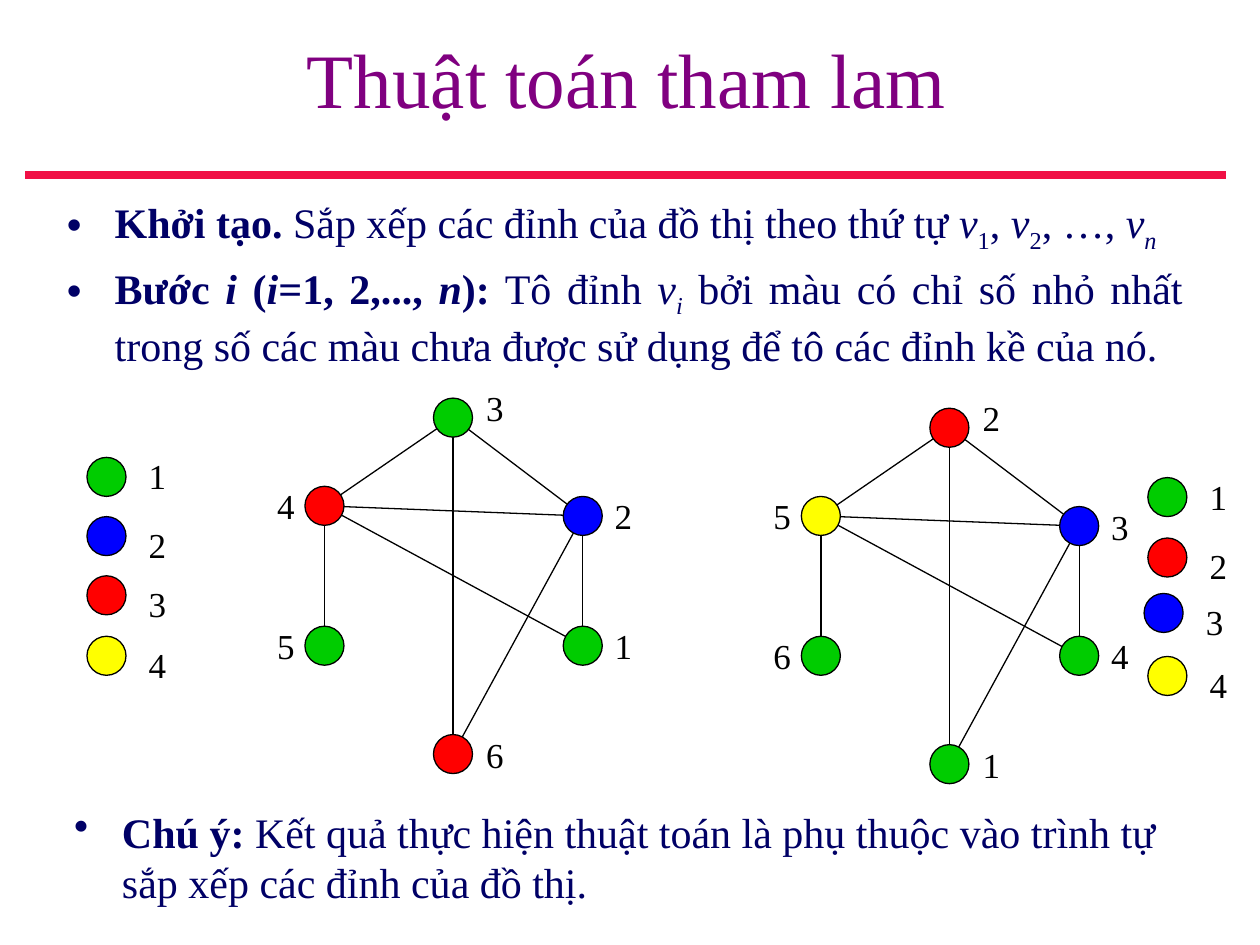
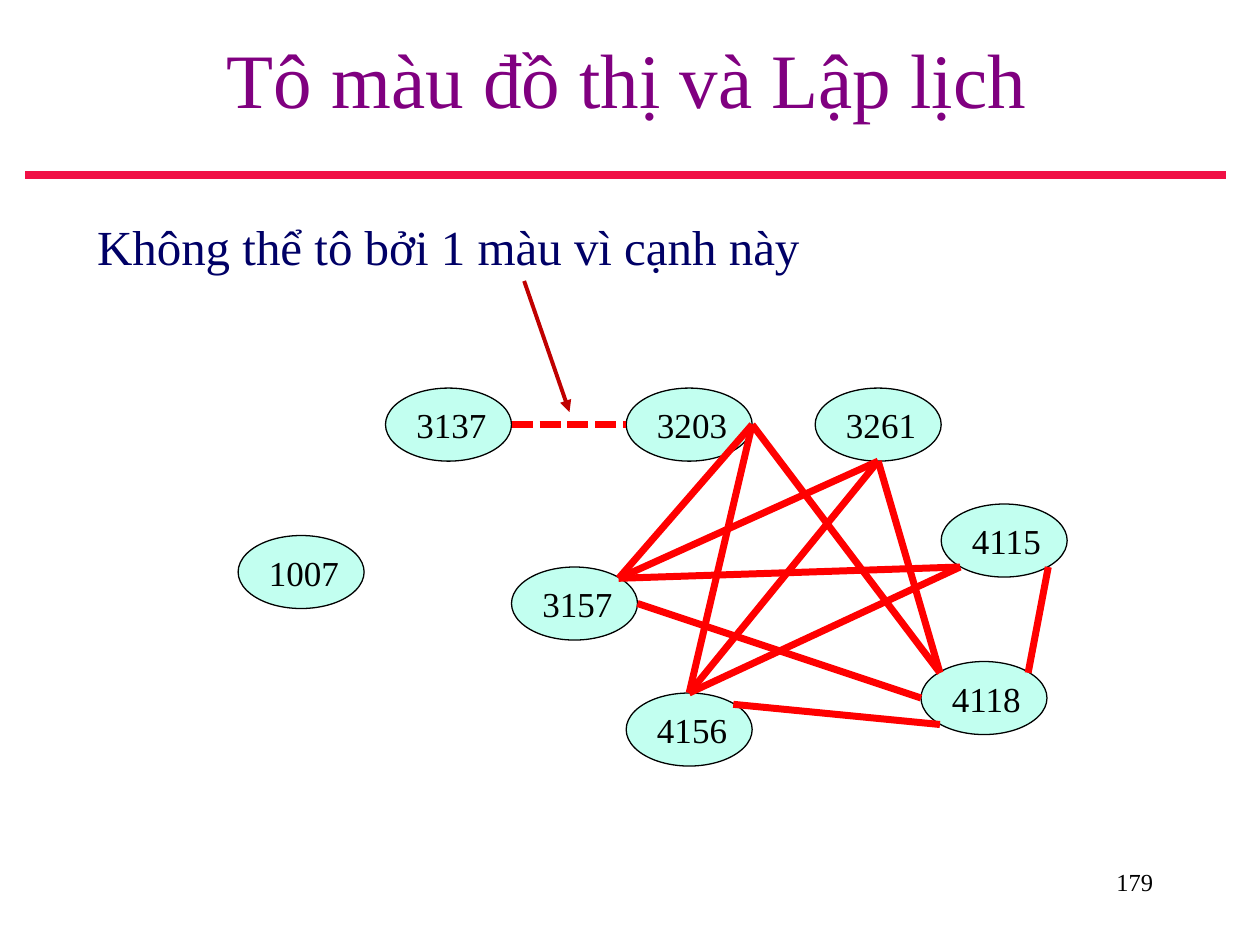
from lxml import etree
from pptx import Presentation
from pptx.dml.color import RGBColor
from pptx.enum.dml import MSO_LINE
from pptx.enum.shapes import MSO_CONNECTOR, MSO_SHAPE
from pptx.enum.text import MSO_ANCHOR, MSO_AUTO_SIZE, PP_ALIGN
from pptx.oxml.ns import qn
from pptx.util import Inches, Pt

STRAIGHT, OVAL = MSO_CONNECTOR.STRAIGHT, MSO_SHAPE.OVAL
LEFT, CENTER, RIGHT, JUSTIFY = PP_ALIGN.LEFT, PP_ALIGN.CENTER, PP_ALIGN.RIGHT, PP_ALIGN.JUSTIFY
MIDDLE, NO_FIT, DOTTED = MSO_ANCHOR.MIDDLE, MSO_AUTO_SIZE.NONE, MSO_LINE.SQUARE_DOT

FONT = "Times New Roman"
PURPLE, NAVY, BLACK, CRIMSON, DARK_RED = "800080", "000066", "000000", "F01045", "C00000"
GREEN, BLUE, RED, YELLOW, MINT = "00CC00", "0000FF", "FF0000", "FFFF00", "C2FFF0"


def paint(sp, line, width, fill=None):
    """Outline a shape or connector, fill it if asked, and drop its shadow."""
    sp.line.color.rgb = RGBColor.from_string(line)
    sp.line.width = Pt(width)
    if fill:
        sp.shadow.inherit = False
        sp.fill.solid()
        sp.fill.fore_color.rgb = RGBColor.from_string(fill)
    else:
        etree.SubElement(sp._element.spPr, qn("a:effectLst"))


def write(p, runs, size, color, align=LEFT, bullet=None):
    """Write (text, flags) runs; flags: b bold, i italic, s subscript."""
    p.alignment = align
    if bullet is not None:
        p.space_before = Pt(size * 0.2)
        pPr = p._p.get_or_add_pPr()
        pPr.set("marL", str(Inches(0.38)))
        pPr.set("indent", str(-Inches(0.38)))
        if bullet:
            etree.SubElement(pPr, qn("a:buChar")).set("char", bullet)
        else:
            etree.SubElement(pPr, qn("a:buNone"))
    for text, flags in runs:
        r = p.add_run()
        r.text = text
        fmt = {"name": FONT, "size": Pt(size), "bold": "b" in flags, "italic": "i" in flags}
        for key, value in fmt.items():
            setattr(r.font, key, value)
        r.font.color.rgb = RGBColor.from_string(color)
        if "s" in flags:
            r._r.get_or_add_rPr().set("baseline", "-25000")


prs = Presentation()
prs.slide_width, prs.slide_height = Inches(10), Inches(7.5)
layout = prs.slide_layouts[1]

# Shared parts: title place, titles and bodies, red rule
title = layout.placeholders[0]
title.left, title.top, title.width, title.height = map(Inches, (0.2, 0, 9.55, 1.23))

slides, bodies = [], []
for heading, box in [
    ("Thuật toán tham lam", (0.43, 1.51, 9.06, 1.6)),
    ("Tô màu đồ thị và Lập lịch", (0.67, 1.67, 8.92, 5.33)),
]:
    s = prs.slides.add_slide(layout)
    tf = s.shapes.title.text_frame
    tf.vertical_anchor, tf.auto_size = MIDDLE, NO_FIT
    write(tf.paragraphs[0], [(heading, "")], 44, PURPLE, CENTER)
    body = s.placeholders[1]
    body.left, body.top, body.width, body.height = map(Inches, box)
    body.text_frame.auto_size = NO_FIT
    slides.append(s)
    bodies.append(body.text_frame)

rule = slides[0].shapes.add_connector(STRAIGHT, *map(Inches, (0.2, 1.39, 9.73, 1.39)))
paint(rule, CRIMSON, 4.5)
layout.shapes._spTree.append(rule._element)

# Slide 1: steps of the algorithm
s, tf = slides[0], bodies[0]
write(tf.paragraphs[0], [
    ("Khởi tạo. ", "b"), ("Sắp xếp các đỉnh của đồ thị theo thứ tự ", ""),
    ("v", "i"), ("1", "s"), (", ", ""), ("v", "i"), ("2", "s"), (", …, ", ""),
    ("v", "i"), ("n", "is"),
], 24, NAVY, bullet="•")
write(tf.add_paragraph(), [
    ("Bước ", "b"), ("i", "bi"), (" (", "b"), ("i", "bi"), ("=1, 2,..., ", "b"),
    ("n", "bi"), ("):", "b"), (" Tô đỉnh ", ""), ("v", "i"), ("i", "is"),
    (" bởi màu có chỉ số nhỏ nhất trong số các màu chưa được sử dụng "
     "để tô các đỉnh kề của nó.", ""),
], 24, NAVY, JUSTIFY, "•")

# Slide 1: one graph under two vertex orders
DOT = 0.31
places = {  # vertex offset, label offset from its vertex
    "top": (1.02, 0, 0.32, -0.08),
    "left": (0, 0.7, -0.32, 0),
    "right": (2.05, 0.78, 0.31, 0),
    "low left": (0, 1.81, -0.32, 0),
    "low right": (2.05, 1.81, 0.31, 0),
    "bottom": (1.02, 2.67, 0.32, 0),
}
edges = [
    ("top", "right"), ("left", "right"), ("top", "left"), ("top", "bottom"),
    ("left", "low left"), ("right", "low right"), ("left", "low right"), ("right", "bottom"),
]
graphs = [  # origin, then order number and colour in the order of places
    (2.42, 3.16, "342516", [GREEN, RED, BLUE, GREEN, GREEN, RED]),
    (6.36, 3.24, "253641", [RED, YELLOW, BLUE, GREEN, GREEN, GREEN]),
]
dots, labels = [], []
for x0, y0, numbers, colors in graphs:
    for a, b in edges:
        ends = [v + d + DOT / 2 for n in (a, b) for v, d in zip(places[n][:2], (x0, y0))]
        paint(s.shapes.add_connector(STRAIGHT, *map(Inches, ends)), BLACK, 0.75)
    for (dx, dy, lx, ly), number, color in zip(places.values(), numbers, colors):
        dots.append((x0 + dx, y0 + dy, color))
        labels.append((number, x0 + dx + lx, y0 + dy + ly, DOT, DOT))

# Slide 1: colour keys (dot left, dot top, label top)
keys = [
    ([GREEN, BLUE, RED, YELLOW],
     [(0.69, 3.63, 3.55), (0.69, 4.1, 4.1), (0.69, 4.57, 4.57), (0.69, 5.05, 5.05)]),
    ([GREEN, RED, BLUE, YELLOW],
     [(9.11, 3.79, 3.72), (9.11, 4.27, 4.27), (9.08, 4.71, 4.71), (9.11, 5.21, 5.21)]),
]
for colors, rows in keys:
    for i, (color, (x, y, label_y)) in enumerate(zip(colors, rows), 1):
        dots.append((x, y, color))
        labels.append((str(i), x + 0.39, label_y, 0.34, 0.44))

for x, y, color in dots:
    paint(s.shapes.add_shape(OVAL, *map(Inches, (x, y, DOT, DOT))), BLACK, 0.75, color)
for text, *box in labels:
    tf = s.shapes.add_textbox(*map(Inches, box)).text_frame
    tf.word_wrap, tf.vertical_anchor = False, MIDDLE
    write(tf.paragraphs[0], [(text, "")], 20, BLACK, CENTER)

# Slide 1: closing note
tf = s.shapes.add_textbox(*map(Inches, (0.49, 6.35, 9.06, 0.8))).text_frame
tf.word_wrap = True
write(tf.paragraphs[0], [
    ("Chú ý: ", "b"),
    ("Kết quả thực hiện thuật toán là phụ thuộc vào trình tự sắp xếp các đỉnh của đồ thị.", ""),
], 24, NAVY, bullet="•")

# Slide 2: statement and page number
s = slides[1]
write(bodies[1].paragraphs[0], [("Không thể tô bởi 1 màu vì cạnh này", "")], 28, NAVY, bullet="")
tf = s.shapes.add_textbox(*map(Inches, (7.17, 6.83, 2.08, 0.5))).text_frame
tf.word_wrap = True
write(tf.paragraphs[0], [("179", "")], 14, BLACK, RIGHT)

# Slide 2: courses
courses = {
    "1007": (1.89, 4.25), "3137": (3.06, 3.08), "3157": (4.06, 4.5), "3203": (4.97, 3.08),
    "4115": (7.47, 4), "3261": (6.47, 3.08), "4156": (4.97, 5.5), "4118": (7.31, 5.25),
}
for course, (x, y) in courses.items():
    sp = s.shapes.add_shape(OVAL, *map(Inches, (x, y, 1, 0.58)))
    paint(sp, BLACK, 0.75, MINT)
    tf = sp.text_frame
    tf.word_wrap, tf.vertical_anchor = False, MIDDLE
    write(tf.paragraphs[0], [(course, "")], 20, BLACK)

# Slide 2: conflicts, joined at points on the ovals
sites = {
    "t": (0.5, 0), "b": (0.5, 0.58), "l": (0, 0.29), "r": (1, 0.29),
    "tl": (0.15, 0.09), "tr": (0.85, 0.09), "bl": (0.15, 0.5), "br": (0.85, 0.5),
}
conflicts = [
    ("3137", "r", "3203", "l"), ("3157", "tr", "3203", "r"), ("4156", "t", "3203", "r"),
    ("4118", "l", "3157", "r"), ("4115", "bl", "3157", "tr"), ("3261", "b", "3157", "tr"),
    ("4118", "bl", "4156", "tr"), ("4118", "tl", "3261", "b"), ("4118", "tl", "3203", "r"),
    ("4118", "tr", "4115", "br"), ("3261", "b", "4156", "t"), ("4156", "t", "4115", "bl"),
]
for a, site_a, b, site_b in conflicts:
    ends = [v + d for n, k in ((a, site_a), (b, site_b)) for v, d in zip(courses[n], sites[k])]
    edge = s.shapes.add_connector(STRAIGHT, *map(Inches, ends))
    paint(edge, RED, 4)
    if (a, b) == ("3137", "3203"):
        edge.line.dash_style = DOTTED

# Slide 2: arrow to the dotted edge
arrow = s.shapes.add_connector(STRAIGHT, *map(Inches, (4.16, 2.23, 4.52, 3.27)))
paint(arrow, DARK_RED, 2.25)
etree.SubElement(arrow.line._get_or_add_ln(), qn("a:tailEnd")).set("type", "triangle")

prs.save("out.pptx")
